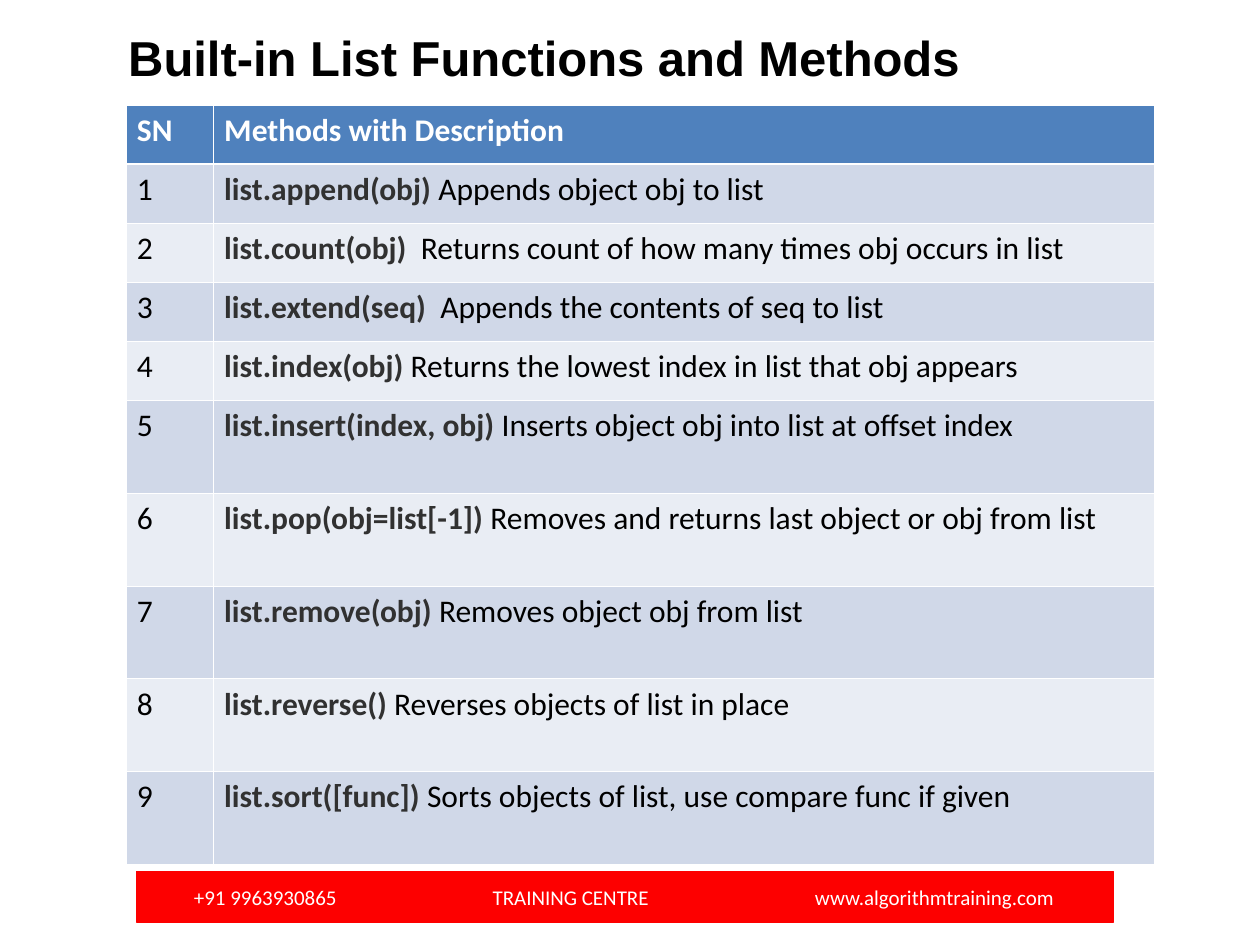
from lxml.etree import SubElement
from pptx import Presentation
from pptx.dml.color import RGBColor
from pptx.enum.shapes import MSO_SHAPE
from pptx.enum.text import MSO_ANCHOR, MSO_AUTO_SIZE, PP_ALIGN
from pptx.oxml.ns import qn
from pptx.util import Cm, Pt

COLORS = {
    "black": "000000", "white": "FFFFFF", "code": "313131", "red": "FD0000",
    "header": "4F81BD", "odd": "D0D8E8", "even": "E9EDF4",
}

METHODS = [
    ("list.append(obj) ", "Appends object obj to list"),
    ("list.count(obj)  ", "Returns count of how many times obj occurs in list"),
    ("list.extend(seq)  ", "Appends the contents of seq to list"),
    ("list.index(obj) ", "Returns the lowest index in list that obj appears"),
    ("list.insert(index, obj) ", "Inserts object obj into list at offset index"),
    ("list.pop(obj=list[-1]) ", "Removes and returns last object or obj from list"),
    ("list.remove(obj) ", "Removes object obj from list"),
    ("list.reverse() ", "Reverses objects of list in place"),
    ("list.sort([func]) ", "Sorts objects of list, use compare func if given"),
]


def rgb(name):
    return RGBColor.from_string(COLORS[name])


def add_text(p, text, size=18, font="Calibri", color="black", bold=False,
             align=PP_ALIGN.LEFT):
    p.alignment = align
    r = p.add_run()
    r.text = text
    r.font.size, r.font.name, r.font.bold = Pt(size), font, bold
    r.font.color.rgb = rgb(color)


class Slide:
    thin, thick = 0.45, 1.47

    def __init__(self, prs):
        self.s = prs.slides.add_slide(prs.slide_layouts[5])

    def title(self, text, left, top, width, height):
        sp = self.s.shapes.title
        sp.left, sp.top, sp.width, sp.height = map(Cm, (left, top, width, height))
        tf = sp.text_frame
        tf.word_wrap = True
        tf.auto_size = MSO_AUTO_SIZE.NONE
        tf.vertical_anchor = MSO_ANCHOR.TOP
        add_text(tf.paragraphs[0], text, size=28, font="Arial", bold=True)

    def cell(self, cell, fill, top, bottom):
        cell.margin_left = cell.margin_right = Cm(0.22)
        cell.margin_top = cell.margin_bottom = Cm(0.13)
        tcPr = cell._tc.get_or_add_tcPr()
        for side, width in zip("LRTB", (self.thin, self.thin, top, bottom)):
            ln = SubElement(tcPr, qn(f"a:ln{side}"), w=str(Pt(width)))
            solid = SubElement(ln, qn("a:solidFill"))
            SubElement(solid, qn("a:srgbClr"), val=COLORS["white"])
        cell.fill.solid()
        cell.fill.fore_color.rgb = rgb(fill)
        return cell.text_frame.paragraphs[0]

    def table(self, header, methods, left, top, cols, rows):
        table = self.s.shapes.add_table(
            len(rows), len(cols), Cm(left), Cm(top), Cm(sum(cols)), Cm(sum(rows))).table
        for column, width in zip(table.columns, cols):
            column.width = Cm(width)
        for row, height in zip(table.rows, rows):
            row.height = Cm(height)
        for c, text in enumerate(header):
            p = self.cell(table.cell(0, c), "header", self.thin, self.thick)
            add_text(p, text, color="white", bold=True)
        for n, (call, description) in enumerate(methods, 1):
            fill = "odd" if n % 2 else "even"
            top_line = self.thick if n == 1 else self.thin
            number, method = (self.cell(table.cell(n, c), fill, top_line, self.thin)
                              for c in range(2))
            add_text(number, str(n))
            add_text(method, call, color="code", bold=True, align=PP_ALIGN.JUSTIFY)
            add_text(method, description, align=PP_ALIGN.JUSTIFY)

    def footer(self, parts, left, top, width, height, inset, tabs):
        sp = self.s.shapes.add_shape(
            MSO_SHAPE.RECTANGLE, Cm(left), Cm(top), Cm(width), Cm(height))
        sp.shadow.inherit = False
        sp.fill.solid()
        sp.fill.fore_color.rgb = rgb("red")
        sp.line.color.rgb = rgb("red")
        sp.line.width = Pt(0.75)
        tf = sp.text_frame
        tf.word_wrap = True
        tf.vertical_anchor = MSO_ANCHOR.MIDDLE
        tf.margin_left = Cm(inset)
        p = tf.paragraphs[0]
        tab_list = SubElement(p._p.get_or_add_pPr(), qn("a:tabLst"))
        for pos in tabs:
            SubElement(tab_list, qn("a:tab"), pos=str(Cm(pos)), algn="l")
        add_text(p, "\t".join(parts), size=12, color="white")


def main():
    prs = Presentation()
    prs.slide_width, prs.slide_height = Cm(25.4), Cm(19.05)
    slide = Slide(prs)

    # Title
    slide.title("Built-in List Functions and Methods", 2.33, 0.43, 19.05, 1.45)

    # Contact bar
    slide.footer(["+91 9963930865", "TRAINING CENTRE", "www.algorithmtraining.com"],
                 2.75, 17.57, 19.7, 1.02, inset=1.16, tabs=[6.02, 12.52])

    # Table of methods
    slide.table(["SN", "Methods with Description"], METHODS, 2.54, 2.12,
                cols=[1.76, 18.98], rows=[1.19] * 5 + [1.87] * 5)

    prs.save("out.pptx")


if __name__ == "__main__":
    main()
